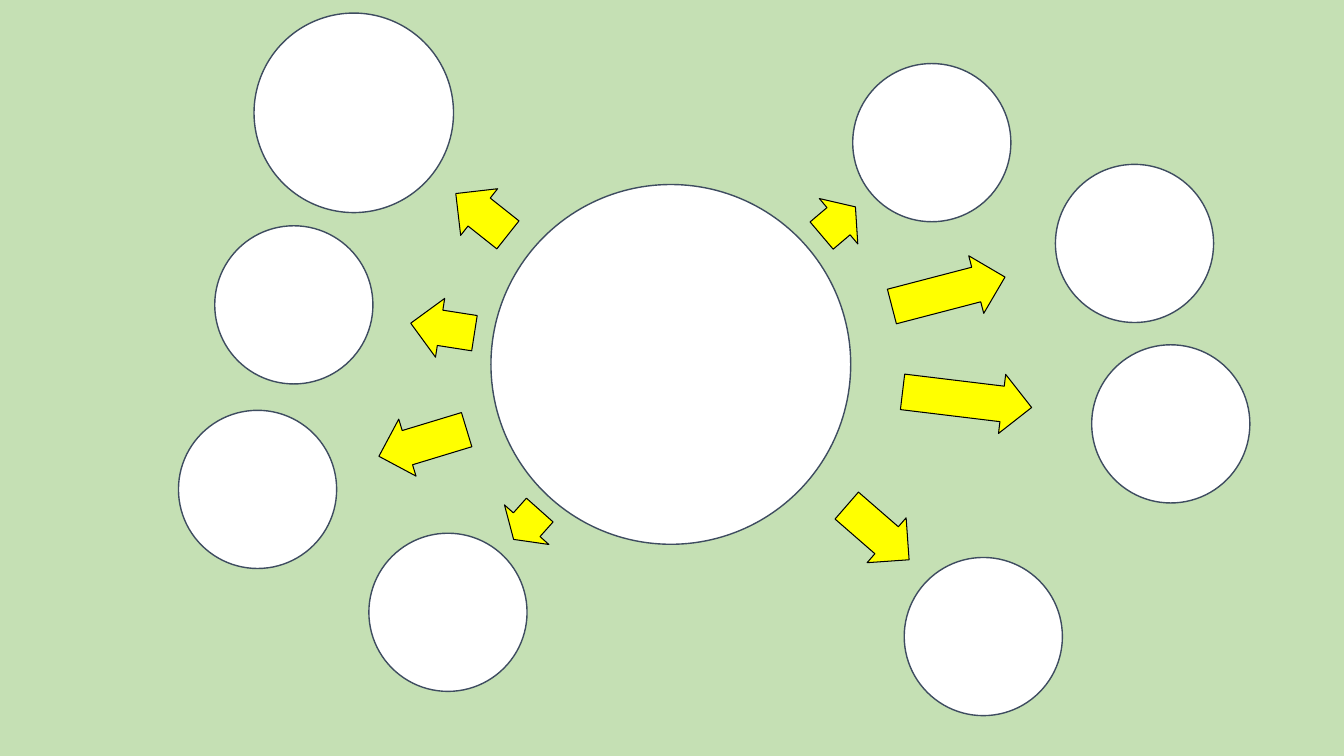
"""Build a mind map slide: a hub circle with arrows to eight topic circles."""
from pptx import Presentation
from pptx.dml.color import RGBColor
from pptx.enum.shapes import MSO_SHAPE
from pptx.util import Pt

GREEN = RGBColor(0xC5, 0xE0, 0xB4)
WHITE = RGBColor(0xFF, 0xFF, 0xFF)
SLATE = RGBColor(0x3E, 0x4C, 0x60)
YELLOW = RGBColor(0xFF, 0xFF, 0x00)
BLACK = RGBColor(0x00, 0x00, 0x00)

HUB_SIZE = 257
TOPIC_SIZE = 113
LARGE_TOPIC_SIZE = 142.5
ARROW_WIDTH = 42.5

prs = Presentation()
prs.slide_width, prs.slide_height = Pt(960), Pt(540)
s = prs.slides.add_slide(prs.slide_layouts[6])
s.background.fill.solid()
s.background.fill.fore_color.rgb = GREEN


def add_centred(kind, x, y, w, h, fill, line, weight):
    sp = s.shapes.add_shape(kind, Pt(x - w / 2), Pt(y - h / 2), Pt(w), Pt(h))
    sp.shadow.inherit = False
    sp.fill.solid()
    sp.fill.fore_color.rgb = fill
    sp.line.color.rgb = line
    sp.line.width = Pt(weight)
    return sp


def add_circle(x, y, size):
    return add_centred(MSO_SHAPE.OVAL, x, y, size, size, WHITE, SLATE, 1)


add_circle(479.2, 260.3, HUB_SIZE)

# Each branch: arrow centre, length and rotation, then topic centre and size
branches = [
    (599, 158, 31.7, 319.7, 665.6, 101.9, TOPIC_SIZE),
    (677.5, 208.4, 83.5, 345.4, 810.4, 173.9, TOPIC_SIZE),
    (690.8, 285.5, 92.9, 6.9, 836.3, 302.8, TOPIC_SIZE),
    (627.1, 380.5, 59, 41, 702.4, 454.7, TOPIC_SIZE),
    (376.2, 374.8, 28.1, 131.7, 320, 437.4, TOPIC_SIZE),
    (302, 316.4, 65.5, 163.1, 184, 349.6, TOPIC_SIZE),
    (316.1, 234.4, 46.1, 188.9, 209.9, 217.8, TOPIC_SIZE),
    (344.2, 153, 47.5, 218.4, 252.7, 80.6, LARGE_TOPIC_SIZE),
]
for arrow_x, arrow_y, length, angle, topic_x, topic_y, size in branches:
    sp = add_centred(MSO_SHAPE.RIGHT_ARROW, arrow_x, arrow_y, length, ARROW_WIDTH,
                     YELLOW, BLACK, 0.75)
    sp.rotation = angle
    sp.adjustments[0] = 0.6
    sp.adjustments[1] = 0.5
    add_circle(topic_x, topic_y, size)

prs.save("out.pptx")
